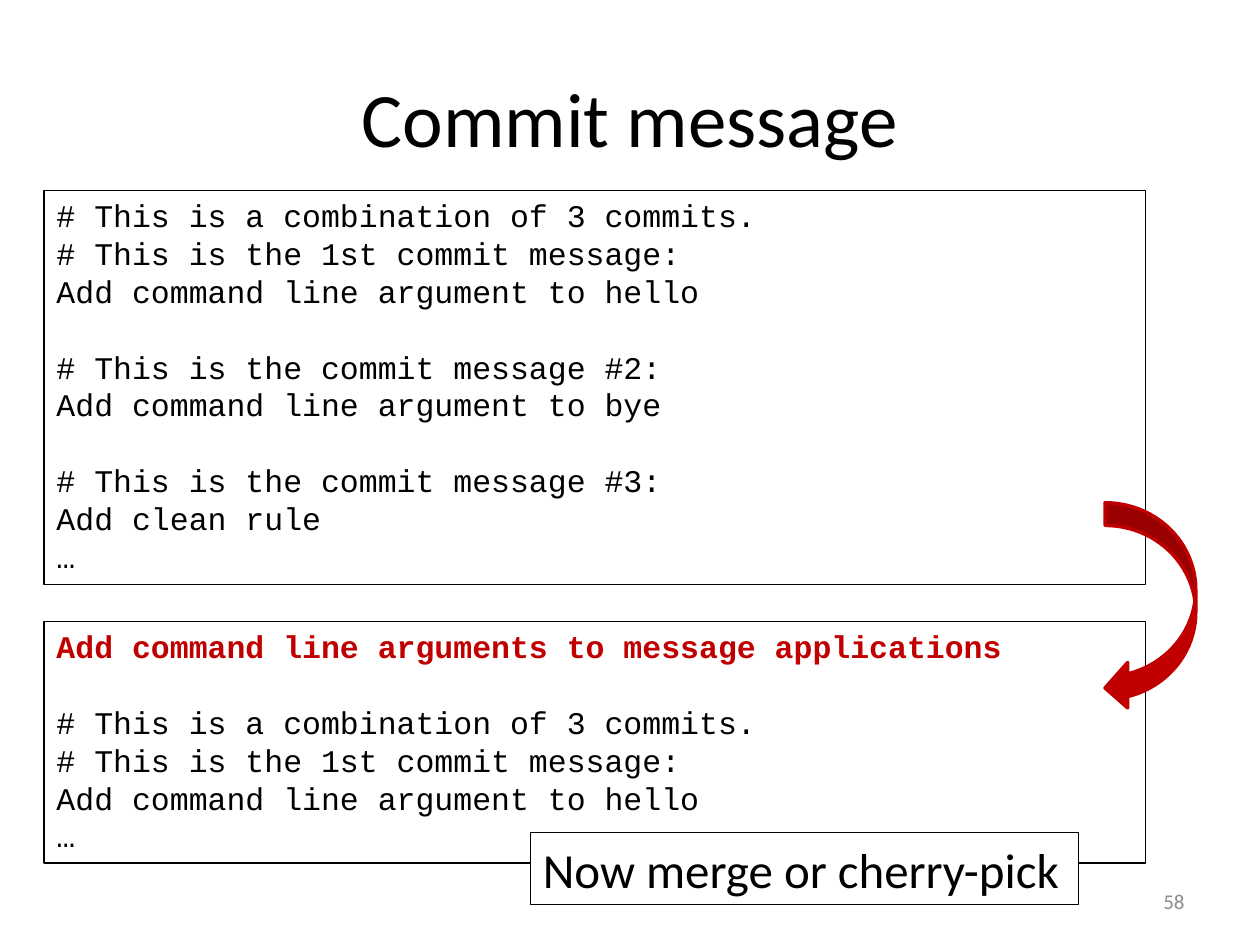
from pptx import Presentation
from pptx.dml.color import RGBColor
from pptx.enum.shapes import MSO_SHAPE
from pptx.enum.text import MSO_ANCHOR, PP_ALIGN
from pptx.util import Emu, Pt

PX = 9144  # EMU per px, 100 px to the inch
BLACK = RGBColor(0x00, 0x00, 0x00)
WHITE = RGBColor(0xFF, 0xFF, 0xFF)
RED = RGBColor(0xC0, 0x00, 0x00)
GRAY = RGBColor(0x8C, 0x8C, 0x8C)
LINE_HEIGHT = Pt(21.6)

deck = Presentation()
deck.slide_width, deck.slide_height = Emu(1000 * PX), Emu(750 * PX)
page = deck.slides.add_slide(deck.slide_layouts[6])


def add_shape(kind, area, fill=None, line=BLACK, width=0.75):
    shape = page.shapes.add_shape(kind, *(Emu(n * PX) for n in area))
    shape.shadow.inherit = False
    if fill is None:
        shape.fill.background()
    else:
        shape.fill.solid()
        shape.fill.fore_color.rgb = fill
    shape.line.color.rgb = line
    shape.line.width = Pt(width)
    return shape


def add_text(box, text, font="Calibri", size=18, color=BLACK, bold=False,
             align=PP_ALIGN.LEFT, anchor=MSO_ANCHOR.TOP, wrap=True,
             line_height=None, first=True, gap=0):
    """Write one paragraph into a box, as its first or after the others."""
    frame = box.text_frame
    frame.word_wrap = wrap
    frame.vertical_anchor = anchor
    para = frame.paragraphs[0] if first else frame.add_paragraph()
    para.alignment = align
    if line_height:
        para.line_spacing = line_height
    if gap:
        para.space_before = gap
    span = para.add_run()
    span.text = text
    span.font.name = font
    span.font.size = Pt(size)
    span.font.bold = bold
    span.font.color.rgb = color


title = page.shapes.add_textbox(*(Emu(n * PX) for n in (50, 30, 900, 125)))
add_text(title, "Commit message", size=44, align=PP_ALIGN.CENTER,
         anchor=MSO_ANCHOR.MIDDLE)

number = page.shapes.add_textbox(*(Emu(n * PX) for n in (717, 695, 233, 40)))
add_text(number, "58", size=12, color=GRAY, align=PP_ALIGN.RIGHT,
         anchor=MSO_ANCHOR.MIDDLE)

# Each message is a list of blocks, set one line apart
FIRST_COMMIT = [
    "# This is a combination of 3 commits.",
    "# This is the 1st commit message:",
    "Add command line argument to hello",
]
HEADLINE = "Add command line arguments to message applications"
messages = [
    ((35, 151, 874, 313), [
        FIRST_COMMIT,
        ["# This is the commit message #2:", "Add command line argument to bye"],
        ["# This is the commit message #3:", "Add clean rule", "…"],
    ]),
    ((35, 493, 874, 192), [[HEADLINE], FIRST_COMMIT + ["…"]]),
]
for area, blocks in messages:
    box = add_shape(MSO_SHAPE.RECTANGLE, area)
    for block_index, block in enumerate(blocks):
        for line_index, text in enumerate(block):
            headline = text == HEADLINE
            add_text(box, text, font="Courier New", bold=headline,
                     color=RED if headline else BLACK,
                     line_height=LINE_HEIGHT,
                     first=block_index == line_index == 0,
                     gap=LINE_HEIGHT if block_index and line_index == 0 else 0)

add_shape(MSO_SHAPE.CURVED_LEFT_ARROW, (877, 399, 72, 165),
          fill=RED, line=RED, width=2)

next_step = add_shape(MSO_SHAPE.RECTANGLE, (421, 661, 435, 57), fill=WHITE)
add_text(next_step, "Now merge or cherry-pick", size=28, wrap=False)

deck.save("out.pptx")
